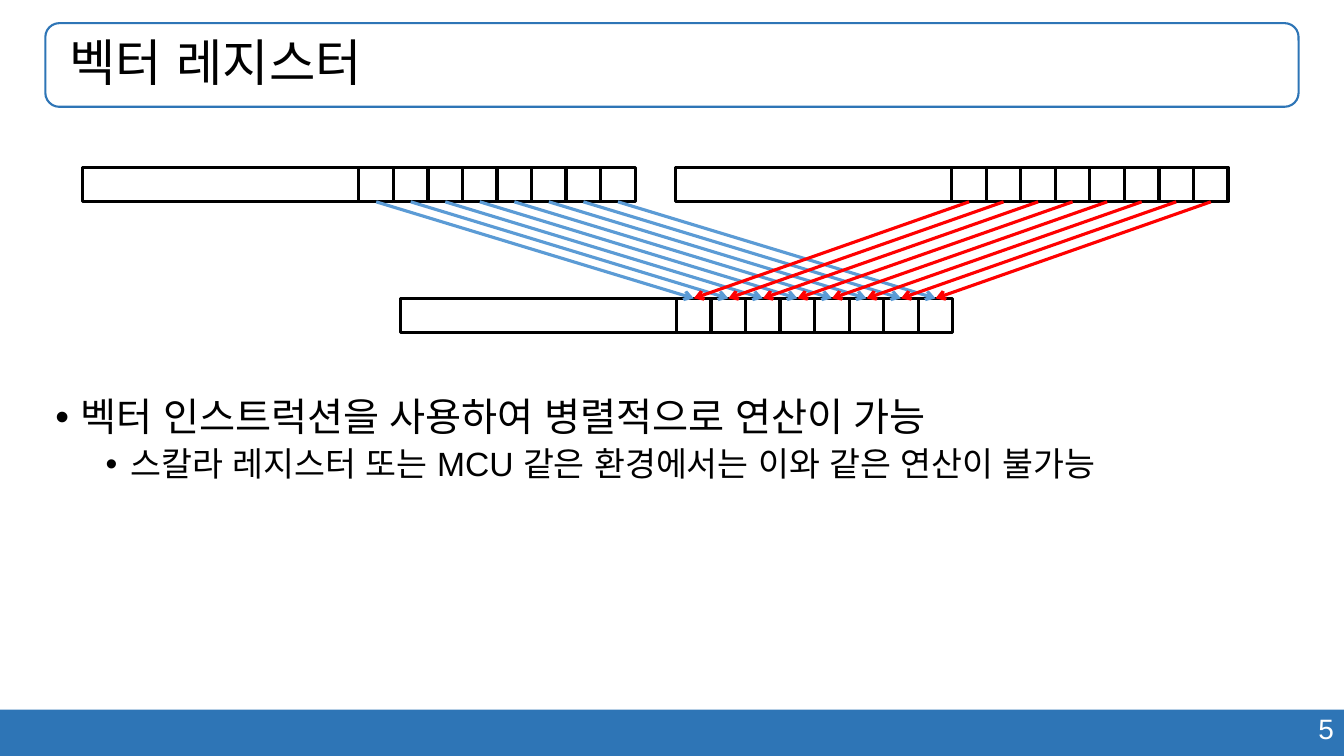
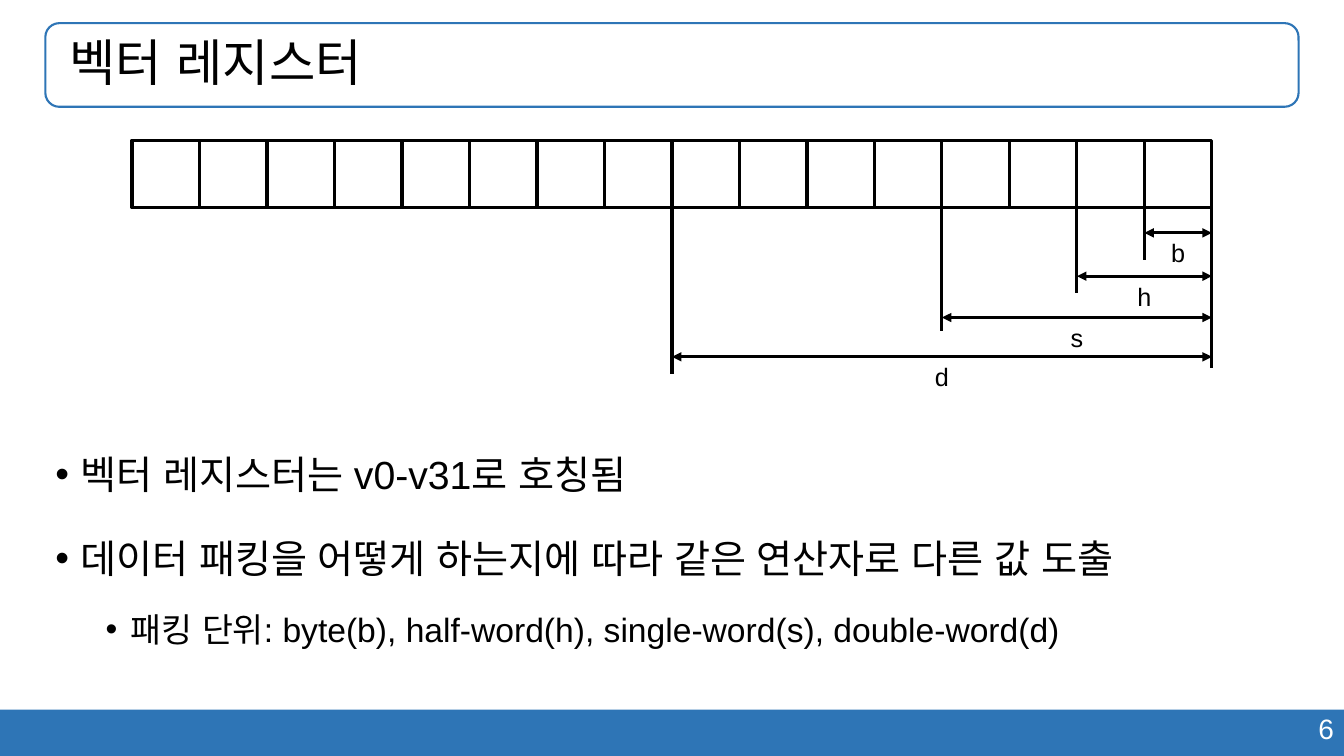
from dataclasses import dataclass

import pptx
import pptx.dml.color
import pptx.enum.shapes
import pptx.enum.text
import pptx.oxml
import pptx.oxml.ns
import pptx.util
from lxml import etree

Inch = pptx.util.Inches
Pt = pptx.util.Pt
Kind = pptx.enum.shapes.MSO_SHAPE
Align = pptx.enum.text.PP_ALIGN
Anchor = pptx.enum.text.MSO_ANCHOR
qn = pptx.oxml.ns.qn


@dataclass(frozen=True)
class Theme:
    font: str = "Arial"
    ink: str = "000000"
    paper: str = "FFFFFF"
    band: str = "2E75B6"
    left: str = "5B9BD5"
    right: str = "FF0000"
    title: int = 36
    body: tuple = (28, 24)
    page: int = 20
    label: int = 18
    frame: float = 1.5
    rule: float = 2.25


THEME = Theme()
WIDE, HIGH = 13.33, 7.5
EDGE = 0.45                  # side margin
SPAN = WIDE - 2 * EDGE       # content width
LANES = 8                    # small cells in a register


# Basics
def put(item, **form):
    for name, value in form.items():
        setattr(item, name, value)


def tint(code):
    return pptx.dml.color.RGBColor.from_string(code)


def write(para, text, size, color=THEME.ink):
    run = para.add_run()
    run.text = text
    put(run.font, name=THEME.font, size=Pt(size))
    run.font.color.rgb = tint(color)
    # Korean text and its spaces use the same font
    etree.SubElement(run._r.get_or_add_rPr(), qn("a:ea"), typeface=THEME.font)


def text_box(slide, area, **form):
    frame = slide.shapes.add_textbox(*map(Inch, area)).text_frame
    put(frame, **{"word_wrap": True, **form})
    return frame


def box(shapes, area, kind=Kind.RECTANGLE, fill=None, line=None, width=THEME.rule):
    shape = shapes.add_shape(kind, *map(Inch, area))
    shape.shadow.inherit = False
    if fill:
        shape.fill.solid()
        shape.fill.fore_color.rgb = tint(fill)
    else:
        shape.fill.background()
    if line:
        shape.line.color.rgb = tint(line)
        shape.line.width = Pt(width)
    else:
        shape.line.fill.background()
    return shape


def wire(slide, start=(0, 0), end=(0, 0), color=THEME.ink, head=None, tail=None):
    line = slide.shapes.add_connector(
        pptx.enum.shapes.MSO_CONNECTOR.STRAIGHT, *map(Inch, (*start, *end)))
    line.line.color.rgb = tint(color)
    line.line.width = Pt(THEME.rule)
    props = line.element.spPr
    for tag, tip in (("a:headEnd", head), ("a:tailEnd", tail)):
        if tip:
            etree.SubElement(props.find(qn("a:ln")), qn(tag), type=tip)
    etree.SubElement(props, qn("a:effectLst"))
    return line


# Shared slide parts
def page(deck, title, number):
    slide = deck.slides.add_slide(deck.slide_layouts[6])
    box(slide.shapes, (0, 7.04, WIDE, HIGH - 7.04), fill=THEME.band)
    foot = text_box(slide, (9.43, 7.01, 3.9, 0.44)).paragraphs[0]
    foot.alignment = Align.RIGHT
    write(foot, str(number), THEME.page, THEME.paper)

    area = (EDGE, 0.23, SPAN, 0.83)
    box(slide.shapes, area, Kind.ROUNDED_RECTANGLE, line=THEME.band, width=THEME.frame)
    frame = text_box(slide, area, vertical_anchor=Anchor.MIDDLE, margin_left=Inch(0.24))
    frame.paragraphs[0].line_spacing = 0.9
    write(frame.paragraphs[0], title, THEME.title)
    return slide


def points(slide, top, items, spacing, anchor=Anchor.TOP):
    frame = text_box(slide, (EDGE, top, SPAN, 6.79 - top), vertical_anchor=anchor)
    for i, (level, text) in enumerate(items):
        para = frame.add_paragraph() if i else frame.paragraphs[0]
        gap = (10, 5)[level] if i else 0
        put(para, level=level, line_spacing=spacing, space_before=Pt(gap))
        props = para._p.get_or_add_pPr()
        props.set("marL", str(Inch(0.25 + level * 0.5)))
        props.set("indent", str(Inch(-0.25)))
        etree.SubElement(props, qn("a:buFont"), typeface=THEME.font)
        etree.SubElement(props, qn("a:buChar"), char="•")
        write(para, text, THEME.body[level])


# Register drawings
def cells(slide, left, top, high, widths):
    group = slide.shapes.add_group_shape()
    row = []
    for width in widths:
        row.append(box(group.shapes, (left, top, width, high), line=THEME.ink))
        left += width
    return row


def vector(slide, left, top):
    unit = 2.74 / LANES
    return cells(slide, left, top, unit, [LANES * unit] + [unit] * LANES)[1:]


def flow(slide, source, target, color):
    for start, end in zip(source, target):
        line = wire(slide, color=color, tail="arrow")
        line.begin_connect(start, 2)
        line.end_connect(end, 0)


def drop(slide, cell, side, x, low):
    wire(slide, (x, 1.72), (x, low)).begin_connect(cell, side)


def measure(slide, name, left, right, y):
    wire(slide, (left, y), (right, y), head="triangle", tail="triangle")
    area = ((left + right) / 2 - 0.17, y, 0.34, 0.4)
    para = text_box(slide, area, word_wrap=False).paragraphs[0]
    para.alignment = Align.CENTER
    write(para, name, THEME.label)


# Slides
def lanes(deck):
    slide = page(deck, "벡터 레지스터", 5)
    first = vector(slide, 0.82, 1.66)
    second = vector(slide, 6.7, 1.66)
    result = vector(slide, 3.97, 2.96)
    flow(slide, first, result, THEME.left)
    flow(slide, second, result, THEME.right)
    points(slide, 3.9, [
        (0, "벡터 인스트럭션을 사용하여 병렬적으로 연산이 가능"),
        (1, "스칼라 레지스터 또는 MCU 같은 환경에서는 이와 같은 연산이 불가능"),
    ], 0.9)


def packing(deck):
    slide = page(deck, "벡터 레지스터", 6)
    count, left, right = 16, 1.31, 12.02
    unit = (right - left) / count
    row = cells(slide, left, 1.39, unit, [unit] * count)
    drop(slide, row[-1], 3, right, 3.65)
    # Each packing unit is twice as wide as the one before
    sizes = (("b", 2.31, 2.58), ("h", 2.74, 2.91), ("s", 3.15, 3.28), ("d", 3.54, 3.71))
    for i, (name, y, low) in enumerate(sizes):
        size = 2 ** i
        start = right - size * unit
        drop(slide, row[-size], 1, start, low)
        measure(slide, name, start, right, y)
    points(slide, 3.88, [
        (0, "벡터 레지스터는 v0-v31로 호칭됨"),
        (0, "데이터 패킹을 어떻게 하는지에 따라 같은 연산자로 다른 값 도출"),
        (1, "패킹 단위: byte(b), half-word(h), single-word(s), double-word(d)"),
    ], 1.5, Anchor.MIDDLE)


def main():
    deck = pptx.Presentation()
    put(deck, slide_width=Inch(WIDE), slide_height=Inch(HIGH))
    lanes(deck)
    packing(deck)
    deck.save("out.pptx")


if __name__ == "__main__":
    main()
